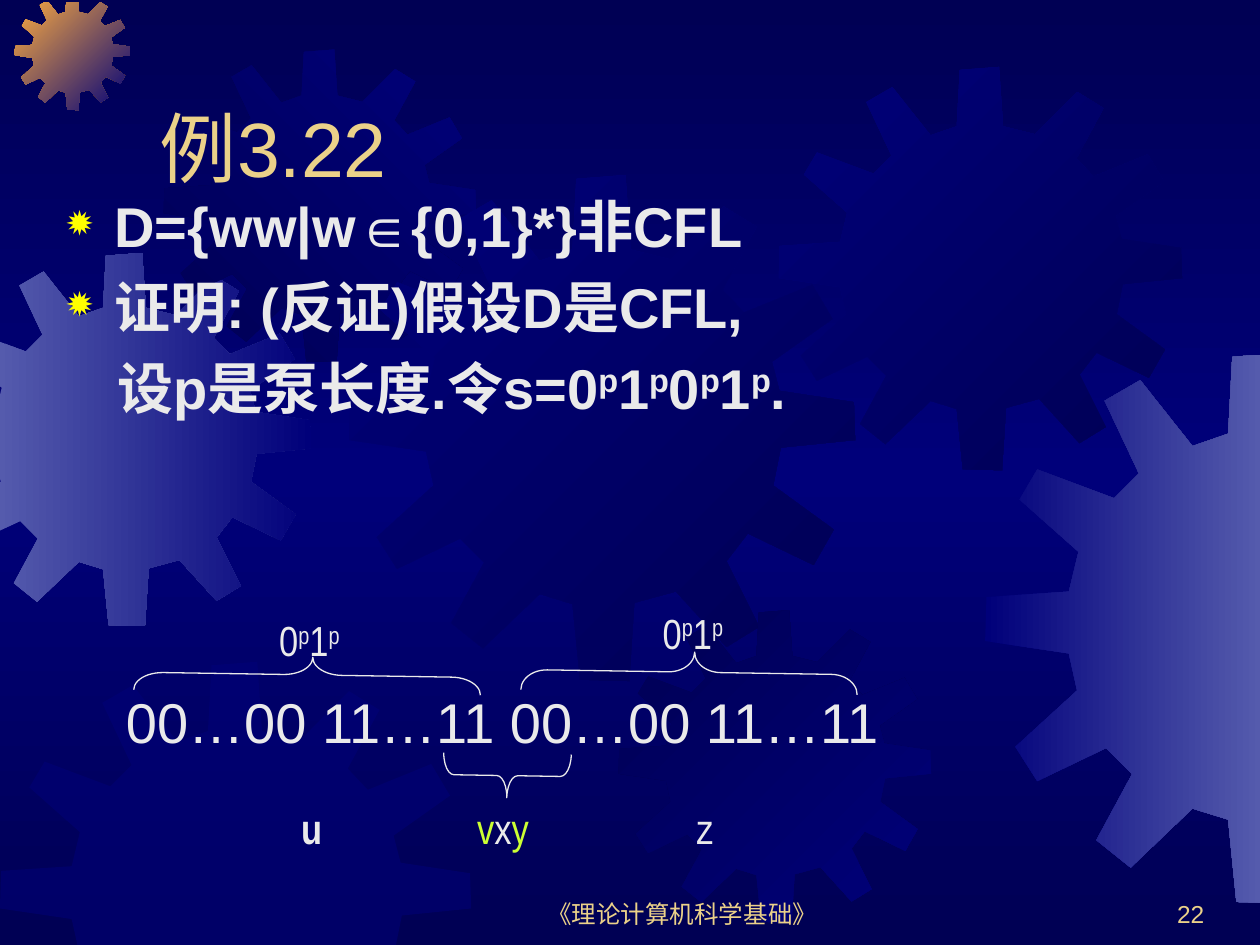
from lxml import etree
from pptx import Presentation
from pptx.dml.color import RGBColor
from pptx.enum.shapes import MSO_SHAPE
from pptx.enum.text import MSO_ANCHOR, MSO_AUTO_SIZE, PP_ALIGN
from pptx.oxml.ns import qn
from pptx.util import Cm, Pt

BRACE = MSO_SHAPE.LEFT_BRACE
TOP, BOTTOM = MSO_ANCHOR.TOP, MSO_ANCHOR.BOTTOM
LEFT, CENTER, RIGHT = PP_ALIGN.LEFT, PP_ALIGN.CENTER, PP_ALIGN.RIGHT
NO_FIT = MSO_AUTO_SIZE.NONE

NAVY, BLUE, STEEL, ORANGE = "000054", "00007A", "555BAD", "FCAB40"
GOLD, WHITE, LIME, YELLOW = "EBD189", "EAEAEA", "CCFF33", "FFFF00"

# Outline of one gear on a grid of 401 units
GEAR_GRID = 401
GEAR = [
    (255, 67), (223, 59), (219, 0), (180, 3), (177, 59), (151, 68), (113, 20), (87, 35),
    (112, 88), (94, 106), (38, 85), (25, 107), (68, 145), (61, 174), (1, 178), (0, 210),
    (61, 219), (67, 246), (22, 287), (38, 312), (88, 288), (107, 307), (81, 355), (106, 375),
    (151, 332), (177, 340), (183, 400), (222, 401), (226, 339), (259, 330), (299, 374),
    (325, 358), (299, 306), (316, 284), (368, 309), (384, 281), (336, 246), (342, 216),
    (401, 210), (400, 180), (341, 171), (335, 148), (383, 114), (367, 87), (313, 109),
    (296, 91), (323, 41), (297, 25),
]

# Left, top, size, colours from start to end, clockwise gradient angle
GEARS = [
    (-1.24, 5.1, 7.52, (STEEL, BLUE), 0),
    (0.3, -0.1, 2.32, (ORANGE, BLUE), 45),
    (3.3, 1, 6.3, (NAVY, BLUE), 315),
    (7.04, 3.53, 10.2, (BLUE, NAVY), 45),
    (0, 13.34, 9.5, (BLUE,), 0),
    (12.47, 12.3, 6.3, (NAVY, BLUE), 45),
    (15.7, 1.35, 8.13, (BLUE, NAVY), 45),
    (19.86, 7.11, 11.1, (BLUE, STEEL), 0),
]

# Page edges that cut the gears: axis, limit, side that is kept
EDGES = [(0, -0.03, 1), (0, 25.43, -1), (1, 0.05, 1), (1, 19.15, -1)]

# Left, top, width, height, rotation, arc size, tip position
BRACES = [
    (5.84, 10.11, 0.71, 6.99, 90.9, 0.83, 0.485),
    (13.49, 10.16, 0.81, 6.78, 90.9, 0.65, 0.485),
    (9.78, 14.35, 0.89, 2.57, 270.9, 0.24, 0.5),
]


def color(value):
    return RGBColor.from_string(value)


def fill_gradient(fill, element, colors, angle):
    """Spread the colours evenly along a clockwise angle."""
    fill.gradient()
    fill.gradient_angle = -angle % 360
    stops = element.find(".//" + qn("a:gsLst"))
    for stop in list(stops):
        stops.remove(stop)
    for index, value in enumerate(colors):
        position = 100000 * index // (len(colors) - 1)
        stop = etree.SubElement(stops, qn("a:gs"), pos=str(position))
        etree.SubElement(stop, qn("a:srgbClr"), val=value)


def clip(points, axis, limit, side):
    """Keep the part of a polygon on one side of a page edge."""
    kept = []
    for start, end in zip(points[-1:] + points[:-1], points):
        before, after = (side * (point[axis] - limit) for point in (start, end))
        if before * after < 0:
            share = before / (before - after)
            kept.append(tuple(a + share * (b - a) for a, b in zip(start, end)))
        if after >= 0:
            kept.append(end)
    return kept


def add_gear(page, left, top, size, colors, angle):
    scale = size / GEAR_GRID
    points = [(left + x * scale, top + y * scale) for x, y in GEAR]
    for edge in EDGES:
        points = clip(points, *edge)
    points = [(Cm(x), Cm(y)) for x, y in points]
    builder = page.shapes.build_freeform(*points[0])
    builder.add_line_segments(points[1:], close=True)
    gear = builder.convert_to_shape()
    gear.shadow.inherit = False
    gear.line.fill.background()
    if len(colors) > 1:
        fill_gradient(gear.fill, gear.element, colors, angle)
    else:
        gear.fill.solid()
        gear.fill.fore_color.rgb = color(colors[0])
        tint = gear.element.spPr.find(".//" + qn("a:srgbClr"))
        etree.SubElement(tint, qn("a:alpha"), val="50000")


def add_brace(page, left, top, width, height, rotation, arc, tip):
    brace = page.shapes.add_shape(BRACE, Cm(left), Cm(top), Cm(width), Cm(height))
    brace.adjustments[0], brace.adjustments[1] = arc, tip
    brace.rotation = rotation
    brace.shadow.inherit = False
    brace.fill.background()
    brace.line.color.rgb = color(WHITE)
    brace.line.width = Pt(0.75)


def add_span(para, text, size, font, tone, bold=False, raised=False):
    span = para.add_run()
    span.text = text
    span.font.size = Pt(size)
    span.font.name = font
    span.font.bold = bold
    span.font.color.rgb = color(tone)
    if raised:
        span.font._element.set("baseline", "30000")


def add_powers(para, text, size, font, bold=False):
    """Add text in which the part after each ^ is a raised p."""
    for index, part in enumerate(text.split("^p")):
        if index:
            add_span(para, "p", size, font, WHITE, bold, raised=True)
        if part:
            add_span(para, part, size, font, WHITE, bold)


def set_frame(box, place, anchor=TOP, align=LEFT):
    """Place a text shape and return its first paragraph."""
    box.left, box.top, box.width, box.height = (Cm(value) for value in place)
    frame = box.text_frame
    frame.word_wrap = True
    frame.auto_size = NO_FIT
    frame.vertical_anchor = anchor
    para = frame.paragraphs[0]
    para.alignment = align
    return para


def add_box(page, *place, anchor=TOP, align=LEFT):
    box = page.shapes.add_textbox(0, 0, 0, 0)
    return box, set_frame(box, place, anchor, align)


def set_indent(para, left, bullet=None):
    props = para._p.get_or_add_pPr()
    props.set("marL", str(Cm(left)))
    props.set("indent", str(-Cm(left) if bullet else 0))
    if bullet:
        tone = etree.SubElement(props, qn("a:buClr"))
        etree.SubElement(tone, qn("a:srgbClr"), val=YELLOW)
        etree.SubElement(props, qn("a:buSzPct"), val="80000")
        etree.SubElement(props, qn("a:buChar"), char=bullet)


def add_proof(page):
    box, para = add_box(page, 1.09, 3.73, 21.59, 5.08)
    lines = [
        ("D={ww|w∈{0,1}*}非CFL", 0.97, "✹"),
        ("证明: (反证)假设D是CFL,", 0.97, "✹"),
        ("设p是泵长度.令s=0^p1^p0^p1^p.", 1.02, None),
    ]
    for index, (text, indent, bullet) in enumerate(lines):
        if index:
            para = box.text_frame.add_paragraph()
        set_indent(para, indent, bullet)
        if index:
            para.space_before = Pt(8)
        add_powers(para, text, 32, "Arial", bold=True)


def add_string_diagram(page):
    for brace in BRACES:
        add_brace(page, *brace)
    _, para = add_box(page, 2.29, 13.74, 15.8, 2.97)
    add_span(para, "00…00 11…11 00…00 11…11", 32, "Arial", WHITE)

    # Names of the halves, above the braces
    for left, top in ((5.38, 12.27), (13.11, 12.12)):
        _, para = add_box(page, left, top, 1.91, 1.27)
        add_powers(para, "0^p1^p", 24, "Arial Narrow")

    # Names of the parts, below the string
    parts = [
        (5.82, 1.27, [("u", WHITE, True)]),
        (9.37, 1.7, [("v", LIME, False), ("x", WHITE, False), ("y", LIME, False)]),
        (13.79, 1.5, [("z", WHITE, False)]),
    ]
    for left, width, letters in parts:
        _, para = add_box(page, left, 16.05, width, 1.27)
        for letter, tone, bold in letters:
            add_span(para, letter, 24, "Arial Narrow", tone, bold)


def main():
    deck = Presentation()
    deck.slide_width, deck.slide_height = Cm(25.4), Cm(19.05)
    page = deck.slides.add_slide(deck.slide_layouts[5])

    # Backdrop
    fill_gradient(page.background.fill, page.element, (NAVY, BLUE, NAVY), 90)
    for gear in GEARS:
        add_gear(page, *gear)

    # Title, brought in front of the gears
    title = page.shapes.title
    title.element.getparent().append(title.element)
    para = set_frame(title, (2.97, 0.84, 21.59, 3.18), BOTTOM)
    add_span(para, "例3.22", 44, "Arial", GOLD)

    add_proof(page)
    add_string_diagram(page)

    # Footer and page number
    for left, width, align, text in (
        (9.73, 8.05, CENTER, "《理论计算机科学基础》"),
        (19.25, 5.28, RIGHT, "22"),
    ):
        _, para = add_box(page, left, 17.58, width, 1.27, anchor=BOTTOM, align=align)
        add_span(para, text, 14, "Arial", GOLD)

    deck.save("out.pptx")


if __name__ == "__main__":
    main()
